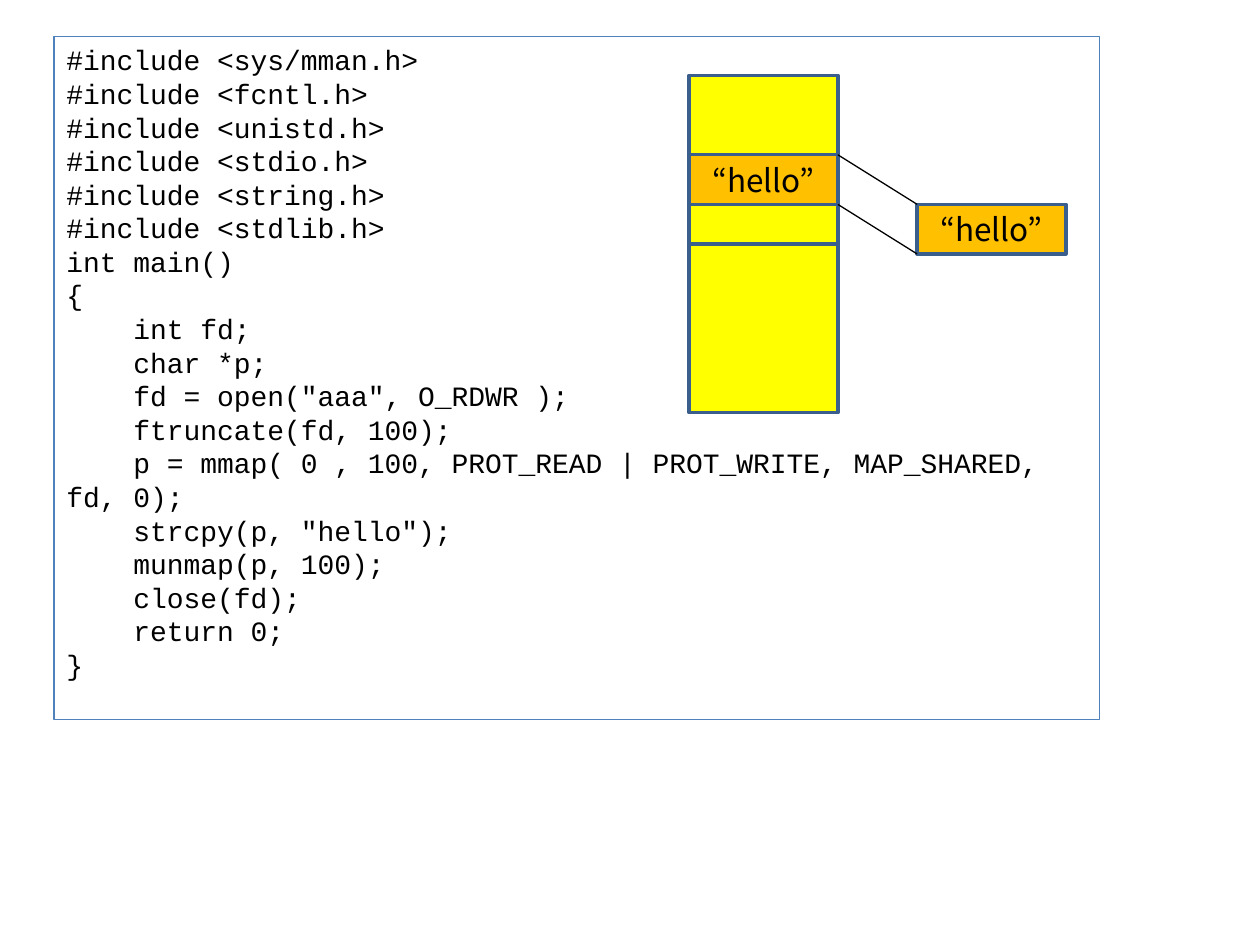
from lxml import etree
from pptx import Presentation
from pptx import util as u
from pptx.dml.color import RGBColor
from pptx.enum import shapes, text
from pptx.oxml import ns

CODE = """#include <sys/mman.h>
#include <fcntl.h>
#include <unistd.h>
#include <stdio.h>
#include <string.h>
#include <stdlib.h>
int main()
{
    int fd;
    char *p;
    fd = open("aaa", O_RDWR );
    ftruncate(fd, 100);
    p = mmap( 0 , 100, PROT_READ | PROT_WRITE, MAP_SHARED, fd, 0);
    strcpy(p, "hello");
    munmap(p, 100);
    close(fd);
    return 0;
}"""
INDENT = u.Cm(1.35)  # four monospaced characters at 16 pt


def write(frame, content, font="Courier New", size=16, color="000000",
          align=text.PP_ALIGN.LEFT, anchor=text.MSO_ANCHOR.TOP):
    """Fill a text frame, one paragraph a line, with leading spaces as indents."""
    frame.word_wrap = True
    frame.vertical_anchor = anchor
    for number, line in enumerate(content.splitlines()):
        paragraph = frame.add_paragraph() if number else frame.paragraphs[0]
        paragraph.alignment = align
        if line.startswith(" "):
            paragraph._p.get_or_add_pPr().set("indent", str(INDENT))
        run = paragraph.add_run()
        run.text = line.strip()
        run.font.name = font
        run.font.size = u.Pt(size)
        run.font.color.rgb = RGBColor.from_string(color)


def add_box(left, top, width, height, fill=None, line="3A5F8C", weight=2):
    """Add a rectangle measured in centimetres and return it."""
    shape = slide.shapes.add_shape(shapes.MSO_SHAPE.RECTANGLE, u.Cm(left), u.Cm(top),
                                   u.Cm(width), u.Cm(height))
    shape.shadow.inherit = False
    if fill:
        shape.fill.solid()
        shape.fill.fore_color.rgb = RGBColor.from_string(fill)
    else:
        shape.fill.background()
    shape.line.color.rgb = RGBColor.from_string(line)
    shape.line.width = u.Pt(weight)
    return shape


presentation = Presentation()
presentation.slide_width, presentation.slide_height = u.Cm(25.4), u.Cm(19.05)
slide = presentation.slides.add_slide(presentation.slide_layouts[6])

code_box = add_box(1.09, 0.74, 21.08, 13.77, line="4F81BD", weight=0.75)
write(code_box.text_frame, CODE)

# Process memory on the left, mapped file on the right
memory_left, file_left, block_width = 13.89, 18.49, 3
region_height, mapped_height = 3.4, 1
memory_top, mapped_top, file_top = 1.52, 3.12, 4.12

blocks = [
    (memory_left, memory_top, region_height, "FFFF00", ""),
    (file_left, file_top, mapped_height, "FFC000", "“hello”"),
    (memory_left, memory_top + region_height, region_height, "FFFF00", ""),
    (memory_left, mapped_top, mapped_height, "FFC000", "“hello”"),
]
for left, top, height, fill, label in blocks:
    block = add_box(left, top, block_width, height, fill)
    write(block.text_frame, label, font="Noto Sans CJK KR", size=18,
          align=text.PP_ALIGN.CENTER, anchor=text.MSO_ANCHOR.MIDDLE)

for offset in (0, mapped_height):
    mapping_line = slide.shapes.add_connector(
        shapes.MSO_CONNECTOR.STRAIGHT,
        u.Cm(memory_left + block_width), u.Cm(mapped_top + offset),
        u.Cm(file_left), u.Cm(file_top + offset))
    mapping_line.line.color.rgb = RGBColor.from_string("000000")
    mapping_line.line.width = u.Pt(0.75)
    etree.SubElement(mapping_line._element.spPr, ns.qn("a:effectLst"))

presentation.save("out.pptx")
